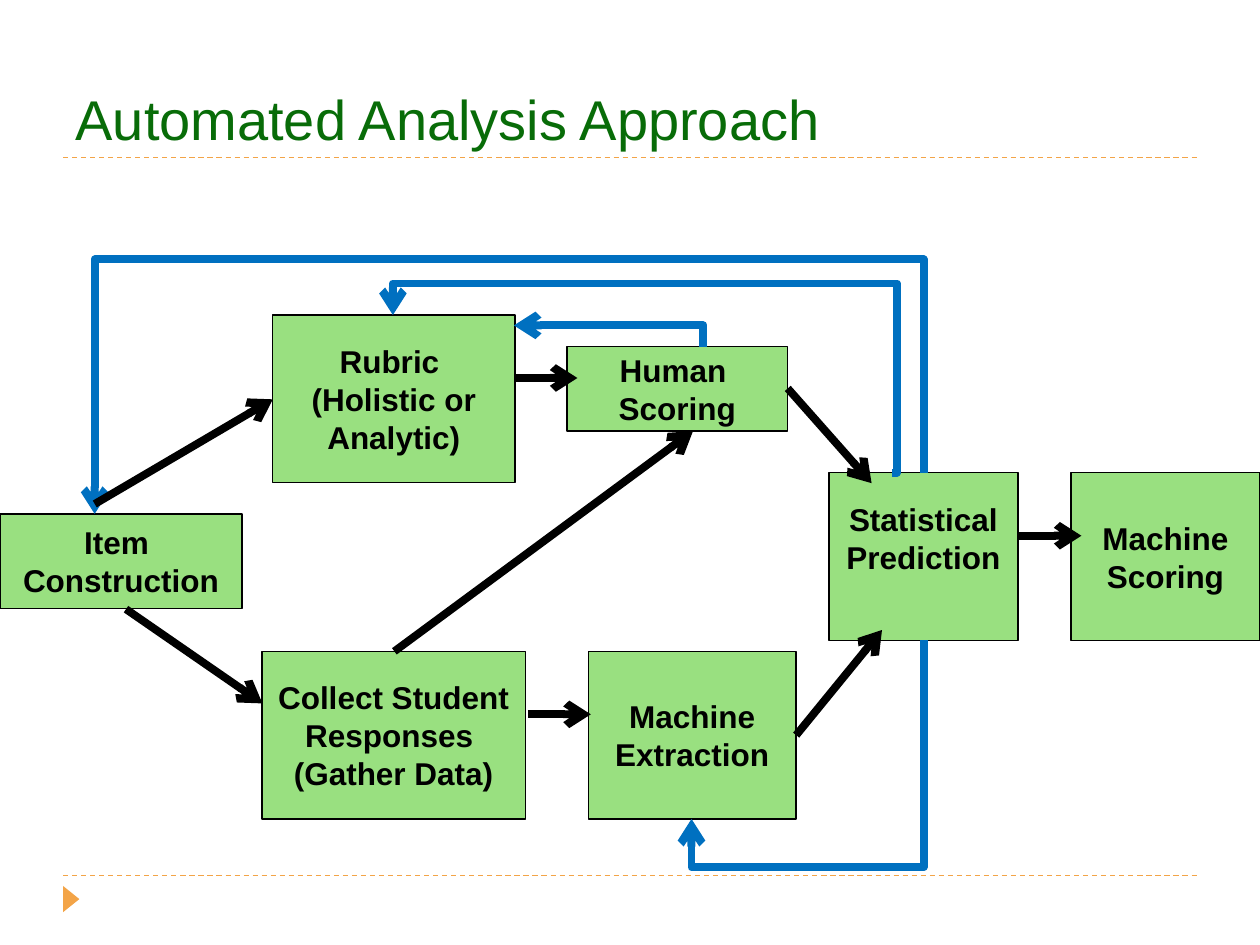
from pptx import Presentation
from pptx.dml.color import RGBColor
from pptx.enum.dml import MSO_LINE
from pptx.enum.shapes import MSO_CONNECTOR as CONN, MSO_SHAPE as SHAPE
from pptx.enum.text import MSO_ANCHOR as ANCHOR, PP_ALIGN as ALIGN
from pptx.oxml.ns import qn
from pptx.util import Cm, Pt
from lxml.etree import SubElement

TITLE_GREEN = RGBColor(0x08, 0x6C, 0x08)
BOX_GREEN = RGBColor(0x99, 0xE0, 0x80)
ORANGE = RGBColor(0xF3, 0xA4, 0x47)
BLUE = RGBColor(0x00, 0x70, 0xC0)
BLACK = RGBColor(0x00, 0x00, 0x00)


class FlowSlide:
    font = "Arial"
    box_size = Pt(18)
    arrow_width = Pt(4.5)
    thin = Pt(0.75)

    def __init__(self, slide):
        self.slide = slide
        self.shapes = slide.shapes

    def format_runs(self, p, size, color, bold=False):
        for r in p.runs:
            r.font.name = self.font
            r.font.size = size
            r.font.bold = bold
            r.font.color.rgb = color

    def title(self, text, x, y, w, h):
        sp = self.shapes.title
        sp.left, sp.top, sp.width, sp.height = Cm(x), Cm(y), Cm(w), Cm(h)
        tf = sp.text_frame
        tf.text = text
        tf.vertical_anchor = ANCHOR.BOTTOM
        tf.paragraphs[0].alignment = ALIGN.LEFT
        self.format_runs(tf.paragraphs[0], Pt(32), TITLE_GREEN)

    def shape(self, kind, x, y, w, h, fill):
        sp = self.shapes.add_shape(kind, Cm(x), Cm(y), Cm(w), Cm(h))
        sp.shadow.inherit = False
        sp.fill.solid()
        sp.fill.fore_color.rgb = fill
        return sp

    def marker(self, x, y, w, h):
        sp = self.shape(SHAPE.ISOSCELES_TRIANGLE, x, y, w, h, ORANGE)
        sp.line.fill.background()
        sp.rotation = 90

    def box(self, lines, x, y, w, h, lift=0):
        """A process box; lift is extra space kept free below its text."""
        sp = self.shape(SHAPE.FLOWCHART_PROCESS, x, y, w, h, BOX_GREEN)
        sp.line.color.rgb = BLACK
        sp.line.width = self.thin
        tf = sp.text_frame
        tf.word_wrap = True
        tf.vertical_anchor = ANCHOR.MIDDLE
        tf.margin_bottom += Cm(lift)
        tf.text = "\n".join(lines)
        for p in tf.paragraphs:
            p.alignment = ALIGN.CENTER
            self.format_runs(p, self.box_size, BLACK, bold=True)

    def connector(self, kind, start, end, color, width):
        points = [Cm(v) for v in (*start, *end)]
        cx = self.shapes.add_connector(kind, *points)
        cx.line.color.rgb = color
        cx.line.width = width
        SubElement(cx._element.spPr, qn("a:effectLst"))
        return cx

    def rule(self, y):
        cx = self.connector(CONN.STRAIGHT, (1.27, y), (24.13, y), ORANGE, self.thin)
        cx.line.dash_style = MSO_LINE.DASH

    def arrow(self, start, end, color=BLACK, kind=CONN.STRAIGHT):
        cx = self.connector(kind, start, end, color, self.arrow_width)
        SubElement(cx.line._get_or_add_ln(), qn("a:tailEnd"), type="arrow")
        return cx

    def feedback(self, start, end, turn, *bends):
        """A bent arrow turned clockwise; bends are fractions of its extent."""
        mid_x, mid_y = (start[0] + end[0]) / 2, (start[1] + end[1]) / 2
        dx, dy = start[0] - mid_x, start[1] - mid_y
        # Turn the ends back, since the rotation is applied to the drawn box
        dx, dy = {90: (dy, -dx), 180: (-dx, -dy), 270: (-dy, dx)}[turn]
        cx = self.arrow((mid_x + dx, mid_y + dy), (mid_x - dx, mid_y - dy),
                        BLUE, CONN.ELBOW)
        spPr = cx._element.spPr
        spPr.find(qn("a:xfrm")).set("rot", str(turn * 60000))
        geom = spPr.find(qn("a:prstGeom"))
        geom.set("prst", f"bentConnector{len(bends) + 2}")
        guides = geom.find(qn("a:avLst"))
        if guides is None:
            guides = SubElement(geom, qn("a:avLst"))
        for n, bend in enumerate(bends, 1):
            SubElement(guides, qn("a:gd"), name=f"adj{n}",
                       fmla=f"val {round(bend * 100000)}")


def main():
    prs = Presentation()
    prs.slide_width, prs.slide_height = Cm(25.4), Cm(19.05)
    flow = FlowSlide(prs.slides.add_slide(prs.slide_layouts[5]))

    # Frame and title
    flow.rule(17.65)
    flow.rule(3.18)
    flow.marker(1.17, 17.96, 0.53, 0.33)
    flow.title("Automated Analysis Approach", 1.27, 0.43, 22.86, 2.75)

    # Process boxes
    tall = 3.38
    flow.box(["Item ", "Construction"], 0, 10.36, 4.88, 1.91)
    flow.box(["Collect Student Responses ", "(Gather Data)"], 5.28, 13.13, 5.31, tall)
    flow.box(["Machine Extraction"], 11.86, 13.13, 4.19, tall)
    flow.box(["Human ", "Scoring"], 11.43, 6.99, 4.45, 1.7)
    flow.box(["Machine Scoring"], 21.59, 9.53, 3.81, tall)
    flow.box(["Rubric ", "(Holistic or Analytic)"], 5.5, 6.35, 4.88, tall)
    flow.box(["Statistical Prediction"], 16.71, 9.53, 3.81, tall, lift=0.76)

    # Feedback loops
    flow.feedback((18.62, 9.53), (1.91, 10.36), 270, -5.18)
    flow.feedback((17.98, 9.53), (7.92, 6.35), 180, -0.01, 1.2)
    flow.feedback((14.18, 6.99), (10.36, 6.56), 180, 0)
    flow.feedback((18.62, 12.91), (13.94, 16.51), 90, 1.27)

    # Forward steps
    for start, end in [
        ((7.95, 13.13), (13.97, 8.69)),
        ((1.91, 10.16), (5.5, 8.05)),
        ((10.37, 7.62), (11.64, 7.62)),
        ((15.88, 7.83), (17.57, 9.74)),
        ((16.05, 14.82), (17.78, 12.7)),
        ((2.54, 12.28), (5.29, 14.18)),
        ((10.64, 14.4), (11.91, 14.4)),
        ((20.53, 10.8), (21.8, 10.8)),
    ]:
        flow.arrow(start, end)

    prs.save("out.pptx")


if __name__ == "__main__":
    main()
